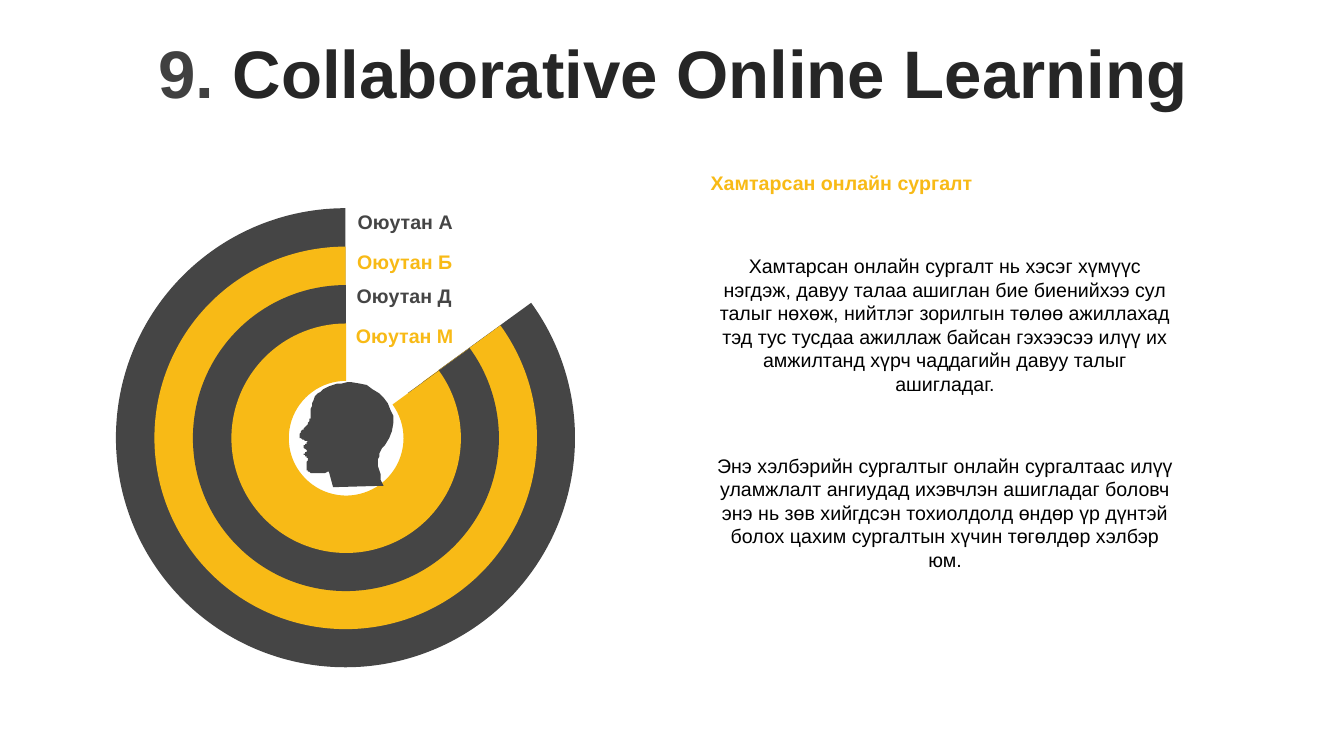
from lxml import etree
from pptx import Presentation
from pptx.chart.data import CategoryChartData
from pptx.dml.color import RGBColor
from pptx.enum.chart import XL_CHART_TYPE
from pptx.enum.text import MSO_ANCHOR, MSO_AUTO_SIZE, PP_ALIGN
from pptx.oxml.ns import qn
from pptx.util import Pt

DOUGHNUT = XL_CHART_TYPE.DOUGHNUT
MIDDLE = MSO_ANCHOR.MIDDLE
NO_FIT = MSO_AUTO_SIZE.NONE
GROW = MSO_AUTO_SIZE.SHAPE_TO_FIT_TEXT
CENTER = PP_ALIGN.CENTER

GRAY = "454545"
YELLOW = "F8BA16"
BLACK = "000000"


def color(value):
    return RGBColor.from_string(value)


def add_text(text, left, top, width, height, text_color, bold, side_inset):
    box = slide.shapes.add_textbox(Pt(left), Pt(top), Pt(width), Pt(height))
    frame = box.text_frame
    frame.word_wrap = True
    frame.auto_size = GROW
    frame.margin_left = frame.margin_right = Pt(side_inset)
    para = frame.paragraphs[0]
    para.text = text
    para.alignment = CENTER
    para.font.name = "Arial"
    para.font.size = Pt(14)
    para.font.bold = bold
    para.font.color.rgb = color(text_color)


deck = Presentation()
deck.slide_width = Pt(960)
deck.slide_height = Pt(540)
slide = deck.slides.add_slide(deck.slide_layouts[5])

title = slide.shapes.title
title.left, title.top, title.width, title.height = Pt(25.2), Pt(26.6), Pt(911.5), Pt(56.9)
title.text_frame.vertical_anchor = MIDDLE
title.text_frame.auto_size = NO_FIT
heading = title.text_frame.paragraphs[0]
heading.alignment = CENTER
heading.line_spacing = 0.9
heading.space_before = Pt(10)
heading.font.name = "Arial"
heading.font.size = Pt(48)
heading.font.bold = True
for words, shade in [("9.", "404040"), (" Collaborative Online Learning", "262626")]:
    span = heading.add_run()
    span.text = words
    span.font.color.rgb = color(shade)

ring_center_x, ring_center_y, ring_step = 247.8, 313.4, 56.7
rings = [(6, 87, GRAY), (5, 84, YELLOW), (4, 80, GRAY), (3, 74, YELLOW)]
plot_layout = [("layoutTarget", "inner"), ("xMode", "edge"), ("yMode", "edge"),
               ("x", "0.015"), ("y", "0.011"), ("w", "0.964"), ("h", "0.974")]
for steps, hole, ring_color in rings:
    size = steps * ring_step
    data = CategoryChartData()
    data.categories = ["1", "2"]
    data.add_series("Series 1", (15, 85))
    chart = slide.shapes.add_chart(
        DOUGHNUT, Pt(ring_center_x - size / 2), Pt(ring_center_y - size / 2),
        Pt(size), Pt(size), data).chart
    chart.has_legend = False
    chart.has_title = False
    chart.font.name = "Arial"
    chart.font.size = Pt(18)
    chart.font.color.rgb = color(BLACK)
    points = chart.plots[0].series[0].points
    points[0].format.fill.background()
    points[1].format.fill.solid()
    points[1].format.fill.fore_color.rgb = color(ring_color)
    for index in range(2):
        points[index].format.line.fill.background()

    plot_area = chart.element.find(".//" + qn("c:plotArea"))
    for old_layout in plot_area.findall(qn("c:layout")):
        plot_area.remove(old_layout)
    layout = etree.Element(qn("c:layout"))
    plot_area.insert(0, layout)
    manual = etree.SubElement(layout, qn("c:manualLayout"))
    for tag, value in plot_layout:
        etree.SubElement(manual, qn("c:" + tag)).set("val", value)
    plot_area.find(".//" + qn("c:holeSize")).set("val", str(hole))

head_start = (251.3, 273.4)
head_segments = [
    [(236.2, 272.9), (226.8, 277.9), (223.2, 288)],
    [(220.3, 296.6), (223.2, 299.5), (219.6, 303.1)],
    [(216.7, 306.7), (213.1, 310.3), (213.8, 312.5)],
    [(215.3, 313.2), (216.7, 314.6), (219.6, 315.4)],
    [(218.9, 316.8), (216, 319), (217.4, 320.4)],
    [(219.6, 321.8)],
    [(218.9, 323.3), (217.4, 323.3), (217.4, 324.7)],
    [(218.2, 326.2), (220.3, 326.9), (220.3, 327.6)],
    [(218.9, 331.2), (218.2, 334.8), (219.6, 336.2)],
    [(221.8, 338.4), (229, 339.1), (235.4, 337)],
    [(237.6, 347.8)],
    [(273.6, 347)],
    [(268.6, 330.5), (269.3, 322.6), (275, 317.5)],
    [(290.9, 298.1), (272.9, 273.6), (251.3, 273.4)],
]
outline = []
start = head_start
for segment in head_segments:
    if len(segment) == 1:
        outline.append(segment[0])
    else:
        curve = [start, *segment]
        for step in range(1, 13):
            t = step / 12
            weights = [(1 - t) ** 3, 3 * t * (1 - t) ** 2, 3 * t * t * (1 - t), t ** 3]
            outline.append(tuple(
                sum(weight * point[axis] for weight, point in zip(weights, curve))
                for axis in range(2)))
    start = segment[-1]
builder = slide.shapes.build_freeform(*head_start, scale=Pt(1))
builder.add_line_segments(outline, close=True)
head = builder.convert_to_shape()
head.shadow.inherit = False
head.fill.solid()
head.fill.fore_color.rgb = color(GRAY)
head.line.fill.background()

students = [
    ("Оюутан А", 247.7, 146.2, 83.5, GRAY),
    ("Оюутан Б", 223.2, 175, 131.8, YELLOW),
    ("Оюутан Д", 247, 199.4, 83.5, GRAY),
    ("Оюутан М", 223.2, 227.5, 131.8, YELLOW),
]
for name, left, top, width, label_color in students:
    add_text(name, left, top, width, 24.5, label_color, True, 7.2)

add_text("Хамтарсан онлайн сургалт", 467.3, 118.8, 267.8, 24.5, YELLOW, True, 7.2)

descriptions = [
    ("Хамтарсан онлайн сургалт нь хэсэг хүмүүс нэгдэж, давуу талаа ашиглан бие биенийхээ "
     "сул талыг нөхөж, нийтлэг зорилгын төлөө ажиллахад тэд тус тусдаа ажиллаж байсан "
     "гэхээсээ илүү их амжилтанд хүрч чаддагийн давуу талыг ашигладаг.", 177.8, 108.7),
    ("Энэ хэлбэрийн сургалтыг онлайн сургалтаас илүү уламжлалт ангиудад ихэвчлэн "
     "ашигладаг боловч энэ нь зөв хийгдсэн тохиолдолд өндөр үр дүнтэй болох цахим "
     "сургалтын хүчин төгөлдөр хэлбэр юм.", 320.4, 92.2),
]
for text, top, height in descriptions:
    add_text(text, 500.4, top, 349.2, height, BLACK, False, 8.64)

deck.save("out.pptx")
